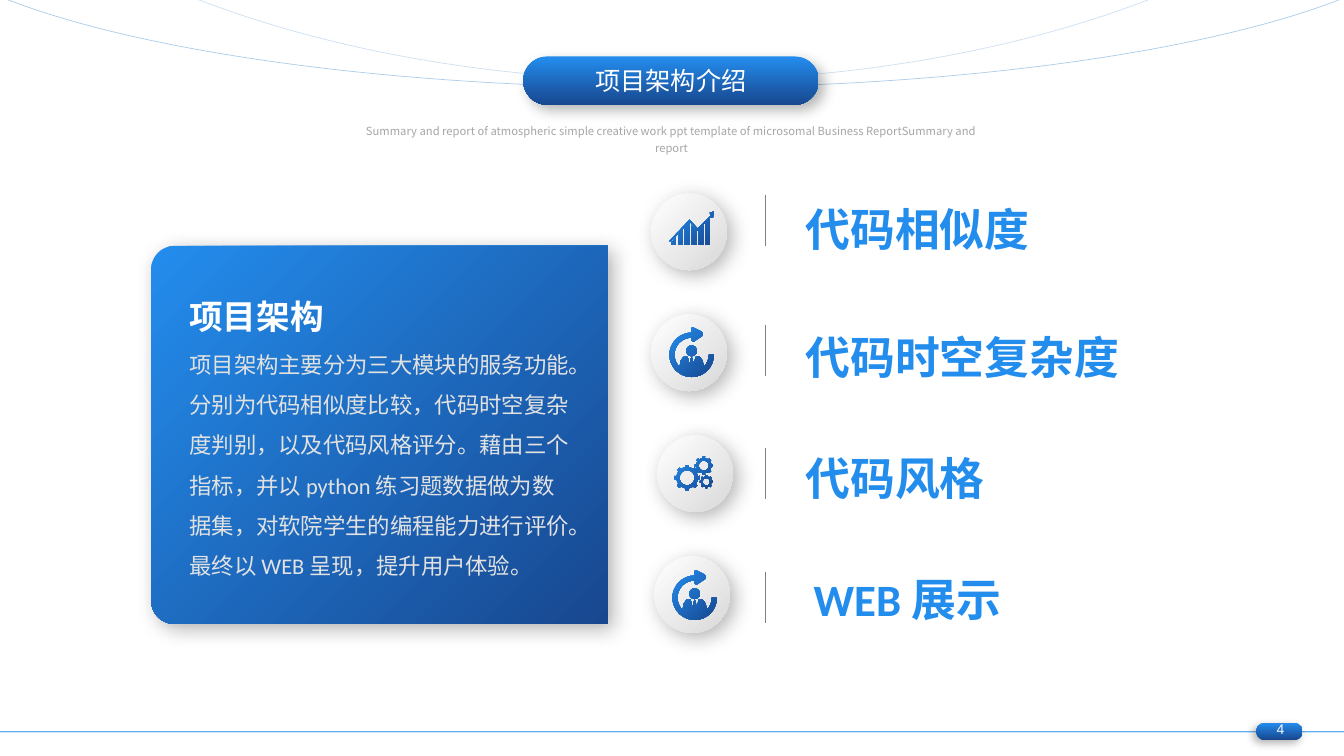
import math
import pptx
import pptx.util
import pptx.dml.color
import pptx.enum.shapes
import pptx.enum.text
import pptx.oxml
import pptx.oxml.ns
from lxml import etree

Inches, Pt = pptx.util.Inches, pptx.util.Pt
SHAPE = pptx.enum.shapes.MSO_SHAPE
ALIGN = pptx.enum.text.PP_ALIGN
ANCHOR = pptx.enum.text.MSO_ANCHOR

WIDTH, HEIGHT = 13.33, 7.5
COLORS = {"blue": "238DED", "navy": "18478F", "arc": "5B9BD5", "white": "FFFFFF",
          "silver": "D9D9D9", "body": "E2E2E2", "caption": "A6A6A6",
          "divider": "808080", "number": "F8F8F8", "shadow": "000000"}
BLUES, GREYS = ("blue", "navy"), ("white", "silver")
CJK_FONT = "Noto Sans CJK SC"

TITLE = "项目架构介绍"
CAPTION = ("Summary and report of atmospheric simple creative work ppt template of "
           "microsomal Business ReportSummary and report")
CARD_HEADING = "项目架构"
CARD_BODY = ("项目架构主要分为三大模块的服务功能。分别为代码相似度比较，代码时空复杂度判别，"
             "以及代码风格评分。藉由三个指标，并以 python 练习题数据做为数据集，"
             "对软院学生的编程能力进行评价。最终以 WEB 呈现，提升用户体验。")
PAGE_NUMBER = "4"
# label, icon, circle left, icon offset, divider top, label left, top and width
MODULES = [
    ("代码相似度", "chart", 6.46, (0.18, 0.18), 1.93, (7.86, 1.93, 3.2)),
    ("代码时空复杂度", "person", 6.46, (0.18, 0.12), 3.22, (7.86, 3.2, 3.63)),
    ("代码风格", "gears", 6.52, (0.17, 0.21), 4.44, (7.86, 4.4, 2.93)),
    ("WEB 展示", "person", 6.49, (0.18, 0.13), 5.67, (7.94, 5.6, 2.93)),
]
FIRST_ROW, ROW_STEP = 1.92, 1.2
# left, top, width, height, start and end adjustment, opacity
ARCS = [(-1.06, -2.78, 15.48, 3.65, 112.82, 211.33, 50),
        (-1.06, -6.98, 15.48, 7.78, 127.02, 196.69, 30)]

# Icon outlines are in hundredths of an inch.
BARS = [(2, 6, 31, 26), (9, 13, 23, 18), (15, 20, 16, 11),
        (22, 27, 14, 19), (29, 34, 19, 14), (36, 40, 12, 7)]
TREND = [(1, 30), (0, 29), (20, 8), (28, 17), (41, 4), (40, 1), (44, 0),
         (44, 5), (42, 6), (41, 5), (28, 19), (20, 10)]
ARROW = [(22, 5), (22, 1), (24, 1), (30, 4), (33, 6), (33, 9), (27, 13), (24, 15), (22, 14)]
BODY = [(10, 41), (11, 34), (14, 30), (18, 30), (20, 38), (21, 32), (22, 30),
        (23, 32), (24, 38), (26, 30), (30, 30), (33, 34), (34, 41)]
CUFFS = [(13, 14), (28.5, 29.5)]
GEARS = [(12.5, 21, 12.5, 10.5, 7.5), (29, 9, 9, 7.5, 5), (31.5, 25, 6.5, 5.2, 3.7)]


def turn(x, y, radius, start, end, steps=24):
    """Points on a circle from one clockwise angle to another."""
    angles = [math.radians(start + (end - start) * i / steps) for i in range(steps + 1)]
    return [(x + radius * math.cos(a), y + radius * math.sin(a)) for a in angles]


def gear(x, y, tip, root, hole, teeth=8):
    """Toothed outline and round hole of a gear."""
    outline = []
    for tooth in range(teeth):
        angle = tooth * 360 / teeth
        outline += turn(x, y, tip, angle - 8, angle + 8, 1)
        outline += turn(x, y, root, angle + 9, angle + 360 / teeth - 9, 4)
    return [outline, turn(x, y, hole, 0, 360)]


ICONS = {
    "chart": [[(a, 33), (a, top_a), (b, top_b), (b, 33)] for a, b, top_a, top_b in BARS] + [TREND],
    "person": [turn(22, 28, 22, 0, 270) + ARROW + turn(22, 28, 17, 270, 130)
               + BODY + turn(22, 28, 17, 47, 0), turn(22, 24, 5.3, 0, 360)]
              + [[(a, 37), (b, 37), (b, 44), (a, 44)] for a, b in CUFFS],
    "gears": [contour for values in GEARS for contour in gear(*values)],
}


def rgb(name):
    """Colour object for a named colour."""
    return pptx.dml.color.RGBColor.from_string(COLORS[name])


def add_child(parent, tag, **attributes):
    """Append a drawing element with its attributes."""
    return etree.SubElement(parent, pptx.oxml.ns.qn(tag), {k: str(v) for k, v in attributes.items()})


def add_shadow(shape, blur, distance, direction):
    """Give a shape a soft outer shadow."""
    effects = shape._element.spPr.find(pptx.oxml.ns.qn("a:effectLst"))
    outer = add_child(effects, "a:outerShdw", blurRad=Pt(blur), dist=Pt(distance),
                      dir=direction * 60000, algn="ctr", rotWithShape=0)
    color = add_child(outer, "a:srgbClr", val=COLORS["shadow"])
    add_child(color, "a:alpha", val=30000)


def paint(shape, colors, angle, shadow=None):
    """Fill a shape with a two-colour gradient and no outline."""
    shape.line.fill.background()
    shape.shadow.inherit = False
    shape.fill.gradient()
    shape.fill.gradient_angle = 360 - angle
    for stop, name in zip(shape.fill.gradient_stops, colors):
        stop.color.rgb = rgb(name)
    if shadow:
        add_shadow(shape, *shadow)
    return shape


def style_line(shape, color, width, opacity=100):
    """Set colour, width and opacity of a line."""
    shape.line.color.rgb = rgb(color)
    shape.line.width = Pt(width)
    if opacity < 100:
        node = shape.line._ln.find(".//" + pptx.oxml.ns.qn("a:srgbClr"))
        add_child(node, "a:alpha", val=opacity * 1000)


def add_preset(kind, box):
    """Add a preset shape at left, top, width, height."""
    return slide.shapes.add_shape(kind, *map(Inches, box))


def add_line(x1, y1, x2, y2, *style):
    """Add a straight line without a shadow."""
    line = slide.shapes.add_connector(pptx.enum.shapes.MSO_CONNECTOR.STRAIGHT,
                                      *map(Inches, (x1, y1, x2, y2)))
    style_line(line, *style)
    add_child(line._element.spPr, "a:effectLst")


def add_outline(contours, left=0, top=0, unit=1.0):
    """Add one freeform made of closed contours."""
    placed = [[(Inches(left + x * unit), Inches(top + y * unit)) for x, y in contour]
              for contour in contours]
    builder = slide.shapes.build_freeform(*placed[0][0], scale=1.0)
    for number, contour in enumerate(placed):
        if number:
            builder.move_to(*contour[0])
        builder.add_line_segments(contour[1:], close=True)
    return builder.convert_to_shape()


def write(shape, text, size, color, font="Calibri", bold=False, frame=None, **layout):
    """Write one formatted paragraph into a shape."""
    for name, value in {"word_wrap": True, **(frame or {})}.items():
        setattr(shape.text_frame, name, value)
    paragraph = shape.text_frame.paragraphs[0]
    for name, value in layout.items():
        setattr(paragraph, name, value)
    run = paragraph.add_run()
    run.text = text
    for name, value in {"size": Pt(size), "bold": bold, "name": font}.items():
        setattr(run.font, name, value)
    run.font.color.rgb = rgb(color)
    add_child(run._r.get_or_add_rPr(), "a:ea", typeface=CJK_FONT)


def add_text(box, *content, **style):
    """Add a text box with one formatted paragraph."""
    write(slide.shapes.add_textbox(*map(Inches, box)), *content, **style)


presentation = pptx.Presentation()
presentation.slide_width, presentation.slide_height = Inches(WIDTH), Inches(HEIGHT)
slide = presentation.slides.add_slide(presentation.slide_layouts[6])

for *box, start, end, opacity in ARCS:
    arc = add_preset(SHAPE.ARC, box)
    arc.adjustments[0], arc.adjustments[1] = start, end
    arc.rotation = 180
    arc.fill.background()
    arc.shadow.inherit = False
    style_line(arc, "arc", 0.5, opacity)
add_text((3.42, 1.14, 6.48, 0.26), CAPTION, 8, "caption", CJK_FONT,
         alignment=ALIGN.CENTER, line_spacing=1.3)

add_line(0, 7.26, WIDTH, 7.26, "blue", 1, 70)
badge = paint(add_preset(SHAPE.ROUNDED_RECTANGLE, (12.46, 7.17, 0.46, 0.17)), BLUES, 90, (6, 3, 135))
pill = paint(add_preset(SHAPE.ROUNDED_RECTANGLE, (5.19, 0.56, 2.93, 0.48)), BLUES, 90, (10, 5, 45))
badge.adjustments[0] = pill.adjustments[0] = 0.5
add_text((12.43, 7.1, 0.54, 0.27), PAGE_NUMBER, 10, "number", "Arial", alignment=ALIGN.CENTER)
write(pill, TITLE, 18, "white", frame={"vertical_anchor": ANCHOR.MIDDLE}, alignment=ALIGN.CENTER)

left, top, right, bottom, radius = 1.5, 2.44, 6.03, 6.19, 0.23
card = ([(right, top), (right, bottom)]
        + turn(left + radius, bottom - radius, radius, 90, 180)
        + turn(left + radius, top + radius, radius, 180, 270))
paint(add_outline([card]), BLUES, 45, (15, 5, 45))
add_text((1.78, 3.3, 3.98, 2.75), CARD_BODY, 16, "body", line_spacing=1.5)
add_text((1.78, 2.69, 1.55, 0.64), CARD_HEADING, 24, "white", CJK_FONT, True,
         frame={"word_wrap": False}, line_spacing=1.5)

INSETS = {"margin_left": Inches(0.13), "margin_right": Inches(0.13),
          "margin_top": Inches(0.07), "margin_bottom": Inches(0.07)}
for row, (label, icon, x, (dx, dy), divider, label_box) in enumerate(MODULES):
    y = FIRST_ROW + row * ROW_STEP
    paint(add_preset(SHAPE.OVAL, (x, y, 0.75, 0.76)), GREYS, 45, (15, 5, 45))
    paint(add_outline(ICONS[icon], x + dx, y + dy, 0.01), BLUES, 45)
    add_line(7.59, divider, 7.59, divider + 0.51, "divider", 0.5)
    add_text((*label_box, 0.67), label, 32, "blue", bold=True, frame=INSETS)

presentation.save("out.pptx")
